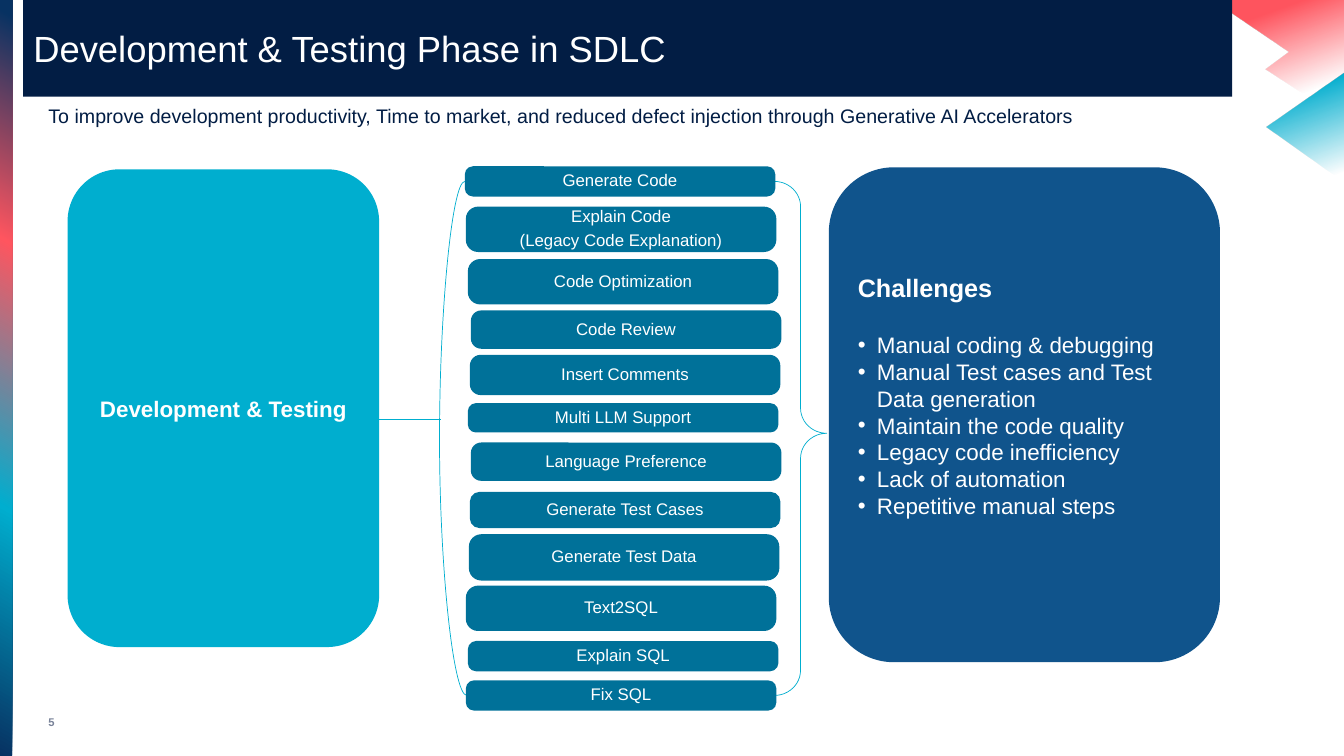
import pptx
import pptx.dml.color
import pptx.enum.shapes
import pptx.enum.text
import pptx.oxml
import pptx.oxml.ns
import pptx.util
from lxml import etree

Inches = pptx.util.Inches
Pt = pptx.util.Pt
RGBColor = pptx.dml.color.RGBColor
MSO_SHAPE = pptx.enum.shapes.MSO_SHAPE
MSO_CONNECTOR = pptx.enum.shapes.MSO_CONNECTOR
PP_ALIGN = pptx.enum.text.PP_ALIGN
MSO_ANCHOR = pptx.enum.text.MSO_ANCHOR
qn = pptx.oxml.ns.qn

NAVY = RGBColor(0x02, 0x1D, 0x44)
DEEP_BLUE = RGBColor(0x07, 0x32, 0x62)
CYAN = RGBColor(0x00, 0xAE, 0xCF)
CORAL = RGBColor(0xFF, 0x55, 0x5F)
TEAL = RGBColor(0x00, 0x71, 0x99)
BLUE = RGBColor(0x10, 0x54, 0x8C)
GREY = RGBColor(0x79, 0x83, 0x99)
WHITE = RGBColor(0xFF, 0xFF, 0xFF)

FEATURES = [
    (4.61, 1.65, 0.30, ["Generate Code"]),
    (4.62, 2.05, 0.45, ["Explain Code", "(Legacy Code Explanation)"]),
    (4.64, 2.57, 0.45, ["Code Optimization"]),
    (4.67, 3.08, 0.38, ["Code Review"]),
    (4.66, 3.52, 0.40, ["Insert Comments"]),
    (4.64, 4.00, 0.29, ["Multi LLM Support"]),
    (4.67, 4.39, 0.38, ["Language Preference"]),
    (4.66, 4.88, 0.36, ["Generate Test Cases"]),
    (4.65, 5.30, 0.46, ["Generate Test Data"]),
    (4.62, 5.81, 0.45, ["Text2SQL"]),
    (4.64, 6.36, 0.30, ["Explain SQL"]),
    (4.62, 6.75, 0.30, ["Fix SQL"]),
]
FEATURE_WIDTH = 3.08

CHALLENGES = [
    "Manual coding & debugging",
    "Manual Test cases and Test Data generation",
    "Maintain the code quality",
    "Legacy code inefficiency",
    "Lack of automation",
    "Repetitive manual steps",
]


def add_span(para, text, size, color, bold=False):
    span = para.add_run()
    span.text = text
    span.font.name = "Arial"
    span.font.size = Pt(size)
    span.font.bold = bold
    span.font.color.rgb = color


def next_para(frame, first):
    return frame.paragraphs[0] if first else frame.add_paragraph()


def set_gradient(shape, stops, angle):
    shape.shadow.inherit = False
    shape.line.fill.background()
    shape.fill.gradient()
    gradient = shape.element.spPr.find(qn("a:gradFill"))
    stop_list = gradient.find(qn("a:gsLst"))
    for stop in list(stop_list):
        stop_list.remove(stop)
    for position, color, opacity in stops:
        stop = etree.SubElement(stop_list, qn("a:gs"), pos=str(position * 1000))
        tint = etree.SubElement(stop, qn("a:srgbClr"), val=str(color))
        if opacity < 100:
            etree.SubElement(tint, qn("a:alpha"), val=str(opacity * 1000))
    gradient.find(qn("a:lin")).set("ang", str(angle * 60000))


def add_panel(page, box, color, rounding=None):
    panel = page.shapes.add_shape(
        MSO_SHAPE.ROUNDED_RECTANGLE, *[Inches(length) for length in box])
    panel.shadow.inherit = False
    panel.fill.solid()
    panel.fill.fore_color.rgb = color
    panel.line.fill.background()
    if rounding is not None:
        panel.adjustments[0] = rounding
    panel.text_frame.word_wrap = True
    panel.text_frame.vertical_anchor = MSO_ANCHOR.MIDDLE
    return panel


def add_link(page, kind, start, end):
    link = page.shapes.add_connector(
        kind, *[Inches(length) for length in start + end])
    link.line.color.rgb = CYAN
    link.line.width = Pt(0.5)
    etree.SubElement(link.element.spPr, qn("a:effectLst"))
    return link


def add_corner(page, points, color, fade_end):
    corners = [(Inches(x), Inches(y)) for x, y in points]
    builder = page.shapes.build_freeform(*corners[0])
    builder.add_line_segments(corners[1:], close=True)
    set_gradient(builder.convert_to_shape(),
                 [(20, color, 100), (fade_end, color, 0)], 70)


def add_decor(page):
    strip = page.shapes.add_shape(
        MSO_SHAPE.RECTANGLE, 0, 0, Inches(0.12), Inches(7.5))
    set_gradient(strip, [(0, DEEP_BLUE, 100), (33, CYAN, 100),
                         (68, CORAL, 100), (98, DEEP_BLUE, 100)], 300)
    add_corner(page, [(12.02, 0), (12.78, 0.52), (12.55, 0.69),
                      (13.33, 1.2), (13.33, 0)], CORAL, 75)
    add_corner(page, [(13.33, 0.72), (12.56, 1.26), (13.33, 1.81)], CYAN, 92)


def add_title(page, left, top, width, height):
    title = page.shapes.title
    title.element.getparent().append(title.element)
    title.left, title.top = Inches(left), Inches(top)
    title.width, title.height = Inches(width), Inches(height)
    title.fill.solid()
    title.fill.fore_color.rgb = NAVY
    frame = title.text_frame
    frame.auto_size = pptx.enum.text.MSO_AUTO_SIZE.NONE
    frame.vertical_anchor = MSO_ANCHOR.MIDDLE
    frame.margin_left = Inches(0.1)
    para = frame.paragraphs[0]
    para.alignment = PP_ALIGN.LEFT
    add_span(para, "Development & Testing Phase in SDLC", 26, WHITE)


def add_label(page, box, text, size, color, bold=False):
    label = page.shapes.add_textbox(*[Inches(length) for length in box])
    frame = label.text_frame
    frame.word_wrap = True
    frame.margin_left = frame.margin_right = 0
    frame.margin_top = frame.margin_bottom = 0
    para = frame.paragraphs[0]
    para.line_spacing = 1.05
    add_span(para, text, size, color, bold)


def add_phase(page, left, top, width, height):
    panel = add_panel(page, (left, top, width, height), CYAN)
    para = panel.text_frame.paragraphs[0]
    para.alignment = PP_ALIGN.CENTER
    add_span(para, "Development & Testing", 16, WHITE, True)


def add_features(page):
    for left, top, height, lines in FEATURES:
        tile = add_panel(page, (left, top, FEATURE_WIDTH, height), TEAL, 0.27)
        for index, line in enumerate(lines):
            para = next_para(tile.text_frame, index == 0)
            para.alignment = PP_ALIGN.CENTER
            para.line_spacing = 0.9
            para.space_after = Pt(4.2)
            add_span(para, line, 12, WHITE)


def add_brackets(page, top, bottom):
    brace = page.shapes.add_shape(
        MSO_SHAPE.RIGHT_BRACE, Inches(7.68), Inches(top),
        Inches(0.52), Inches(bottom - top))
    brace.shadow.inherit = False
    brace.fill.background()
    brace.line.color.rgb = CYAN
    brace.line.width = Pt(0.5)
    brace.adjustments[0] = 0.48
    brace.adjustments[1] = 0.49
    curve = add_link(page, MSO_CONNECTOR.CURVE, (4.61, top), (4.63, bottom))
    guides = curve.element.spPr.find(qn("a:prstGeom")).get_or_add_avLst()
    etree.SubElement(guides, qn("a:gd"), name="adj1", fmla="val -1250000")
    add_link(page, MSO_CONNECTOR.STRAIGHT, (3.58, 4.16), (4.37, 4.16))


def add_challenges(page, left, top, width, height):
    panel = add_panel(page, (left, top, width, height), BLUE)
    frame = panel.text_frame
    frame.margin_bottom = Inches(0.43)
    heading = frame.paragraphs[0]
    heading.alignment = PP_ALIGN.LEFT
    heading.space_after = Pt(20.7)
    add_span(heading, "Challenges", 18, WHITE, True)
    for challenge in CHALLENGES:
        para = frame.add_paragraph()
        para.alignment = PP_ALIGN.LEFT
        add_span(para, challenge, 16, WHITE)
        properties = para._p.get_or_add_pPr()
        properties.set("marL", str(Inches(0.19)))
        properties.set("indent", str(Inches(-0.19)))
        etree.SubElement(properties, qn("a:buFont"), typeface="Arial")
        etree.SubElement(properties, qn("a:buChar"), char="•")


def main():
    deck = pptx.Presentation()
    deck.slide_width, deck.slide_height = Inches(13.33), Inches(7.5)
    page = deck.slides.add_slide(deck.slide_layouts[5])
    add_decor(page)
    add_title(page, 0.23, 0, 11.99, 0.96)
    add_label(page, (0.48, 1.02, 12.36, 0.3),
              "To improve development productivity, Time to market, and reduced "
              "defect injection through Generative AI Accelerators", 14, NAVY)
    add_label(page, (0.48, 7.09, 0.14, 0.13), "5", 8, GREY, True)
    add_phase(page, 0.67, 1.68, 3.09, 4.74)
    add_brackets(page, 1.8, 6.9)
    add_features(page)
    add_challenges(page, 8.22, 1.66, 3.88, 4.91)
    deck.save("out.pptx")


if __name__ == "__main__":
    main()
